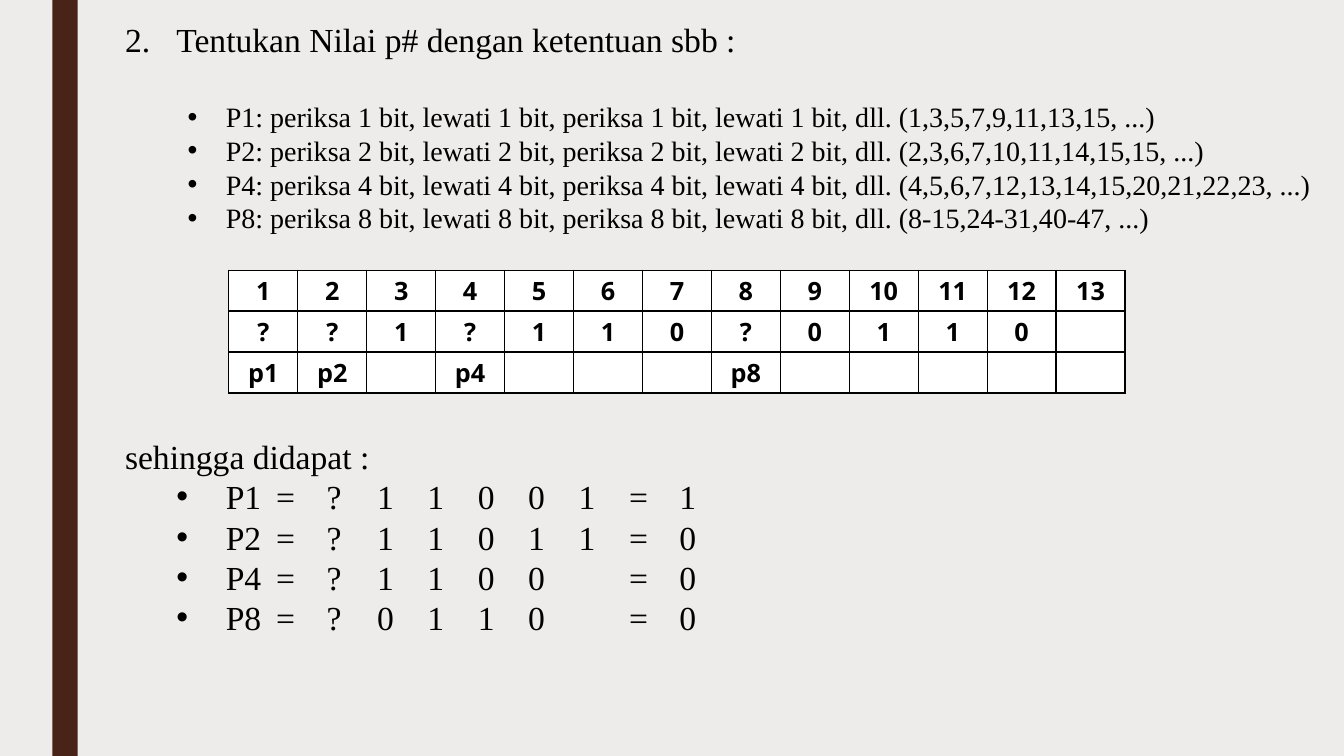
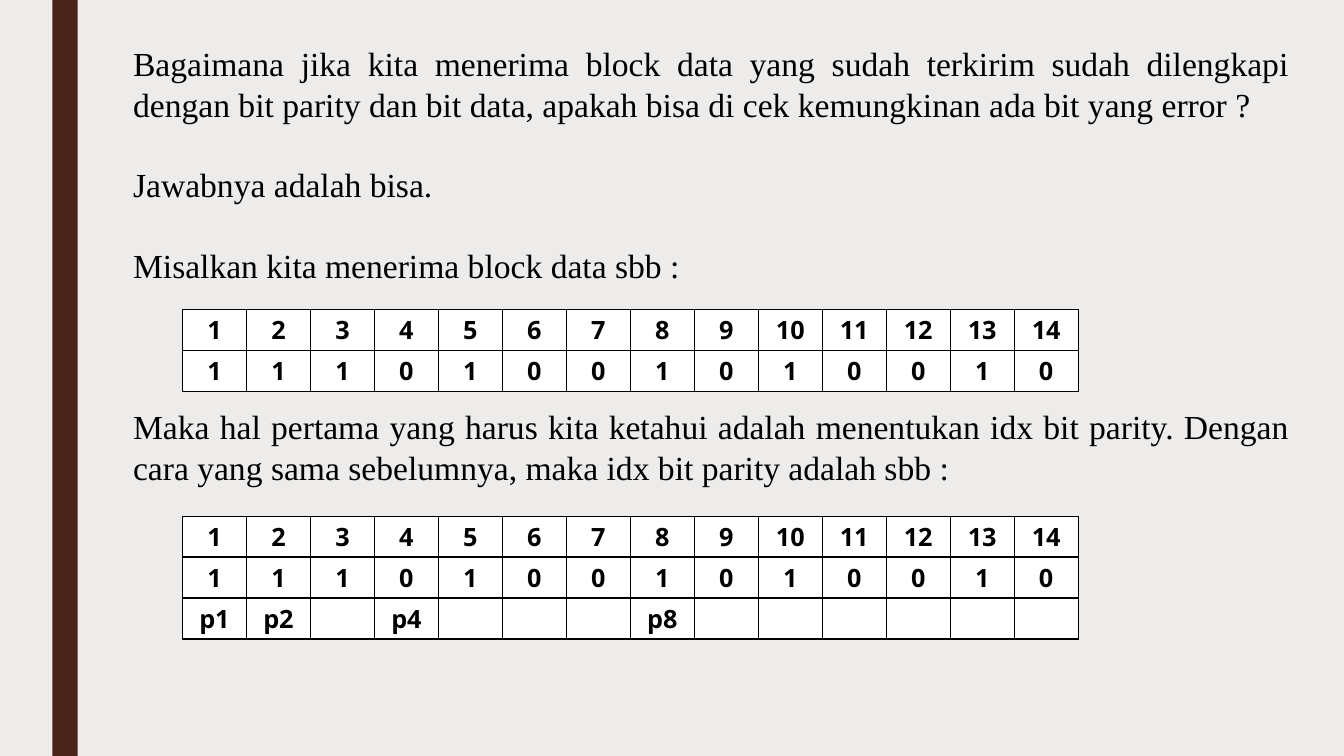
from collections import namedtuple

from pptx import Presentation
from pptx.dml.color import RGBColor
from pptx.enum.shapes import MSO_SHAPE
from pptx.enum.text import MSO_ANCHOR, MSO_AUTO_SIZE, PP_ALIGN
from pptx.oxml import parse_xml
from pptx.oxml.ns import nsdecls
from pptx.util import Inches, Pt

PAPER, BAND, INK, WHITE = "EDECEB", "4A2318", "000000", "FFFFFF"
SLIDE_WIDTH, SLIDE_HEIGHT = Inches(13.333), Inches(7.5)
LINE_RATIO = 1.2
TEXT_SIZE, LIST_SIZE = 24, 20
TEXT_LINE = TEXT_SIZE * LINE_RATIO
ROW_SHARE = 5.42
TABLE_SHARE = 66.68
TAB_STEP, TAB_COUNT = 0.5, 9

BODY_FONT = {"name": "Times New Roman", "bold": False}
CELL_FONT = {"name": "Open Sans", "size": Pt(18), "bold": True}
CELL_FORMAT = {"vertical_anchor": MSO_ANCHOR.MIDDLE, "margin_top": 0, "margin_bottom": 0,
               "margin_left": 0, "margin_right": 0}
TABLE_FORMAT = {"first_row": False, "horz_banding": False}
FRAME_FORMAT = {"word_wrap": True, "auto_size": MSO_AUTO_SIZE.NONE,
                "vertical_anchor": MSO_ANCHOR.TOP}

# Marker markup, left indent and hanging indent (inches) of each paragraph style
Style = namedtuple("Style", "marker indent hanging size tabs")
BULLET = '<a:buChar {} char="&#8226;"/>'
PLAIN = Style("<a:buNone {}/>", 0, 0, TEXT_SIZE, False)
NUMBERED = Style('<a:buAutoNum {} type="arabicPeriod" startAt="2"/>', 0.51, 0.51, TEXT_SIZE, False)
RULE = Style(BULLET, 1, 0.38, LIST_SIZE, False)
RESULT = Style(BULLET, 1, 0.49, TEXT_SIZE, True)


def color(value):
    """Turn a hex string into a colour."""
    return RGBColor.from_string(value)


def apply_format(target, values):
    """Set every attribute named in a dict of format values."""
    for name, value in values.items():
        setattr(target, name, value)


def share_box(left, top, width, height):
    """Turn percentages of the slide into left, top, width and height."""
    return [int(share * side / 100) for share, side in
            zip((left, top, width, height), (SLIDE_WIDTH, SLIDE_HEIGHT) * 2)]


def fill_solid(target, value):
    """Give a shape, cell or background one plain colour."""
    target.fill.solid()
    target.fill.fore_color.rgb = color(value)


def style_master(presentation, slide):
    """Put the background and the side band on the slide master."""
    master = presentation.slide_master
    fill_solid(master.background, PAPER)
    band = slide.shapes.add_shape(MSO_SHAPE.RECTANGLE, *share_box(3.9, 0, 1.88, 100))
    band.shadow.inherit = False
    fill_solid(band, BAND)
    band.line.fill.background()
    band.element.nvSpPr.cNvPr.id = 20
    master.shapes.element.insert(2, band.element)


def write_paragraph(paragraph, text, style, blank_lines):
    """Write one justified paragraph after a gap of some text lines."""
    run = paragraph.add_run()
    run.text = text
    apply_format(run.font, {**BODY_FONT, "size": Pt(style.size)})
    run.font.color.rgb = color(INK)
    apply_format(paragraph, {
        "alignment": PP_ALIGN.JUSTIFY, "line_spacing": Pt(style.size * LINE_RATIO),
        "space_before": Pt(blank_lines * TEXT_LINE), "space_after": Pt(0)})
    properties = paragraph._p.get_or_add_pPr()
    properties.set("marL", str(Inches(style.indent)))
    properties.set("indent", str(-Inches(style.hanging)))
    properties.append(parse_xml(style.marker.format(nsdecls("a"))))
    if style.tabs:
        stops = "".join(f'<a:tab pos="{Inches(TAB_STEP * number)}" algn="l"/>'
                        for number in range(1, TAB_COUNT + 1))
        properties.append(parse_xml(f'<a:tabLst {nsdecls("a")}>{stops}</a:tabLst>'))


def write_body(slide, box, lines):
    """Fill the body placeholder with (text, style, blank lines before) entries."""
    body = slide.placeholders[1]
    apply_format(body, dict(zip(("left", "top", "width", "height"), box)))
    frame = body.text_frame
    apply_format(frame, FRAME_FORMAT)
    for index, line in enumerate(lines):
        paragraph = frame.add_paragraph() if index else frame.paragraphs[0]
        write_paragraph(paragraph, *line)


def format_cell(cell, text):
    """Give a cell its text, white fill and thin black borders."""
    apply_format(cell, CELL_FORMAT)
    fill_solid(cell, WHITE)
    properties = cell._tc.get_or_add_tcPr()
    for index, side in enumerate("LRTB"):
        properties.insert(index, parse_xml(
            f'<a:ln{side} {nsdecls("a")} w="{Pt(1)}"><a:solidFill>'
            f'<a:srgbClr val="{INK}"/></a:solidFill></a:ln{side}>'))
    paragraph = cell.text_frame.paragraphs[0]
    paragraph.alignment = PP_ALIGN.CENTER
    if text:
        run = paragraph.add_run()
        run.text = text
        apply_format(run.font, CELL_FONT)
        run.font.color.rgb = color(INK)


def add_bit_table(slide, left, top, count, bits, parity_row=True):
    """Draw bit positions, bit values and, if wanted, the parity names below."""
    positions = range(1, count + 1)
    rows = [[str(position) for position in positions], list(bits.ljust(count))]
    if parity_row:
        rows.append([f"p{position}" if position & (position - 1) == 0 else ""
                     for position in positions])
    box = share_box(left, top, TABLE_SHARE, ROW_SHARE * len(rows))
    table = slide.shapes.add_table(len(rows), count, *box).table
    apply_format(table, TABLE_FORMAT)
    for column in table.columns:
        column.width = box[2] // count
    for row_index, row in enumerate(rows):
        table.rows[row_index].height = box[3] // len(rows)
        for column_index, text in enumerate(row):
            format_cell(table.cell(row_index, column_index), text.strip())


def add_body_slide(presentation):
    """Add a slide that keeps only the body placeholder."""
    slide = presentation.slides.add_slide(presentation.slide_layouts[1])
    title = slide.shapes.title.element
    title.getparent().remove(title)
    return slide


def build_parity_slide(slide):
    """Show the parity rules, the bit table and the resulting parity bits."""
    sequences = {1: "1,3,5,7,9,11,13,15", 2: "2,3,6,7,10,11,14,15,15",
                 4: "4,5,6,7,12,13,14,15,20,21,22,23", 8: "8-15,24-31,40-47"}
    results = {1: ("11001", 1), 2: ("11011", 0), 4: ("1100", 0), 8: ("0110", 0)}
    lines = [("Tentukan Nilai p# dengan ketentuan sbb :", NUMBERED, 0)]
    for step, sequence in sequences.items():
        pair = f"periksa {step} bit, lewati {step} bit, "
        lines.append((f"P{step}: {pair * 2}dll. ({sequence}, ...)", RULE, int(step == 1)))
    lines.append(("sehingga didapat :", PLAIN, 5))
    for step, (bits, parity) in results.items():
        cells = [f"P{step}", "=", "?", *bits.ljust(5), "=", str(parity)]
        lines.append(("\t".join(cell.strip() for cell in cells), RESULT, 0))
    write_body(slide, share_box(8.55, 1.87, 90.15, 83.87), lines)
    add_bit_table(slide, 17.03, 35.73, 13, "??1?110?0110")


def build_check_slide(slide):
    """Ask how a received block is checked and show its parity positions."""
    received = "11101001010010"
    write_body(slide, share_box(9.15, 5.07, 87.53, 66), [
        ("Bagaimana jika kita menerima block data yang sudah terkirim sudah dilengkapi "
         "dengan bit parity dan bit data, apakah bisa di cek kemungkinan ada bit yang error ?",
         PLAIN, 0),
        ("Jawabnya adalah bisa.", PLAIN, 1),
        ("Misalkan kita menerima block data sbb :", PLAIN, 1),
        ("Maka hal pertama yang harus kita ketahui adalah menentukan idx bit parity. "
         "Dengan cara yang sama sebelumnya, maka idx bit parity adalah sbb :", PLAIN, 3)])
    for top, parity_row in ((40.93, False), (68.27, True)):
        add_bit_table(slide, 13.58, top, len(received), received, parity_row)


def main():
    """Build and save the presentation."""
    presentation = Presentation()
    apply_format(presentation, {"slide_width": SLIDE_WIDTH, "slide_height": SLIDE_HEIGHT})
    parity_slide, check_slide = (add_body_slide(presentation) for _ in range(2))
    style_master(presentation, parity_slide)
    build_parity_slide(parity_slide)
    build_check_slide(check_slide)
    presentation.save("out.pptx")


main()
